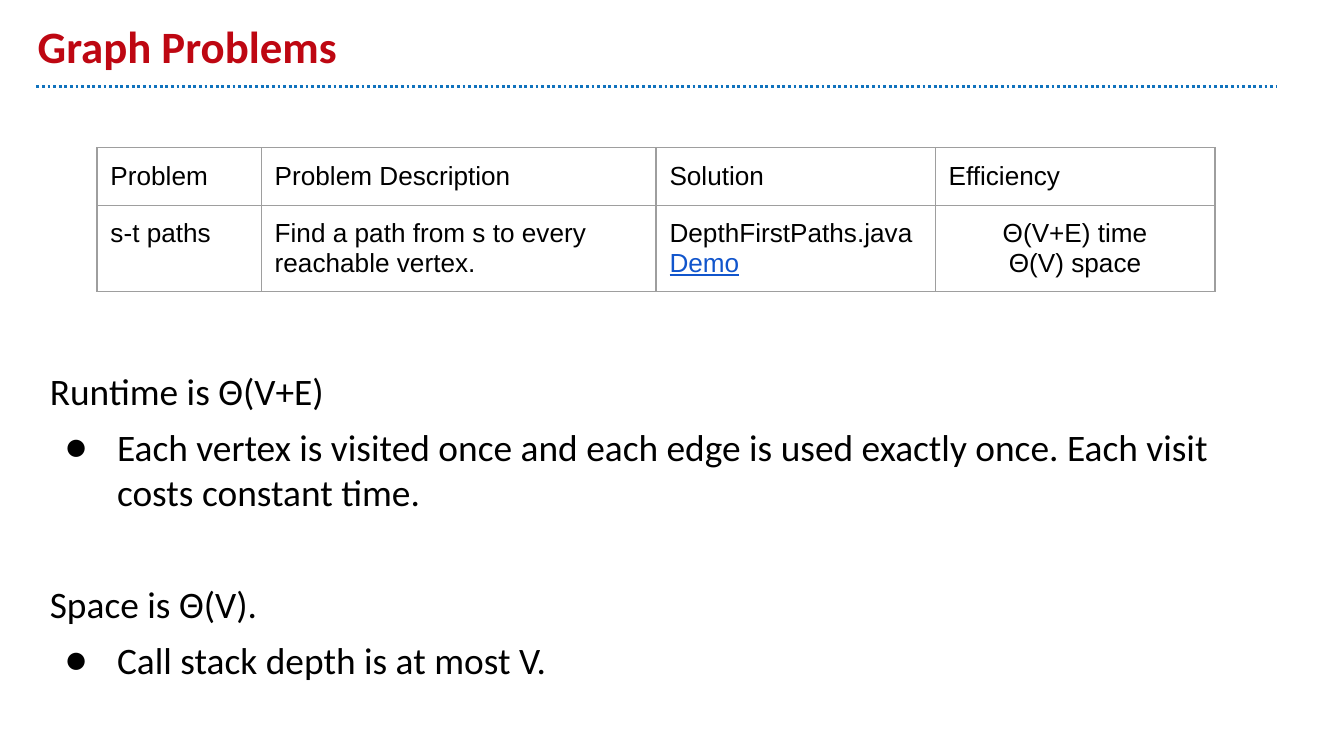
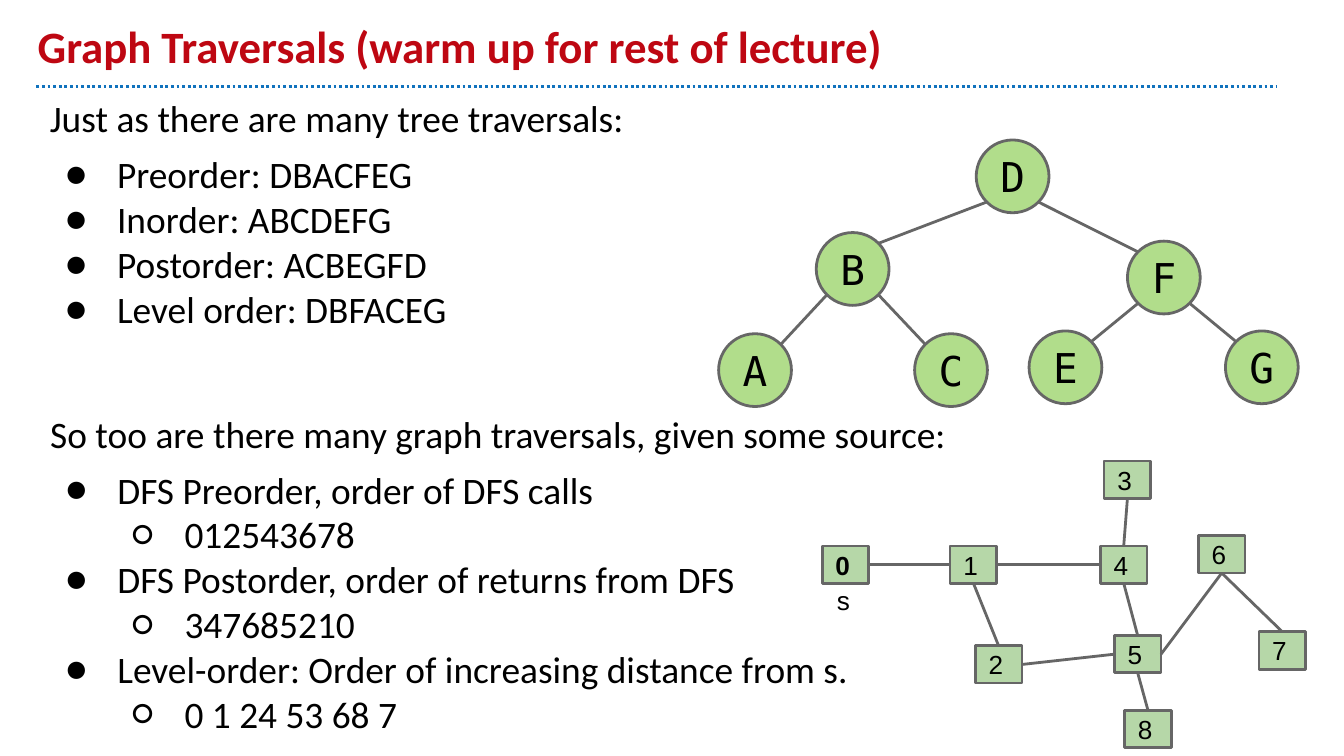
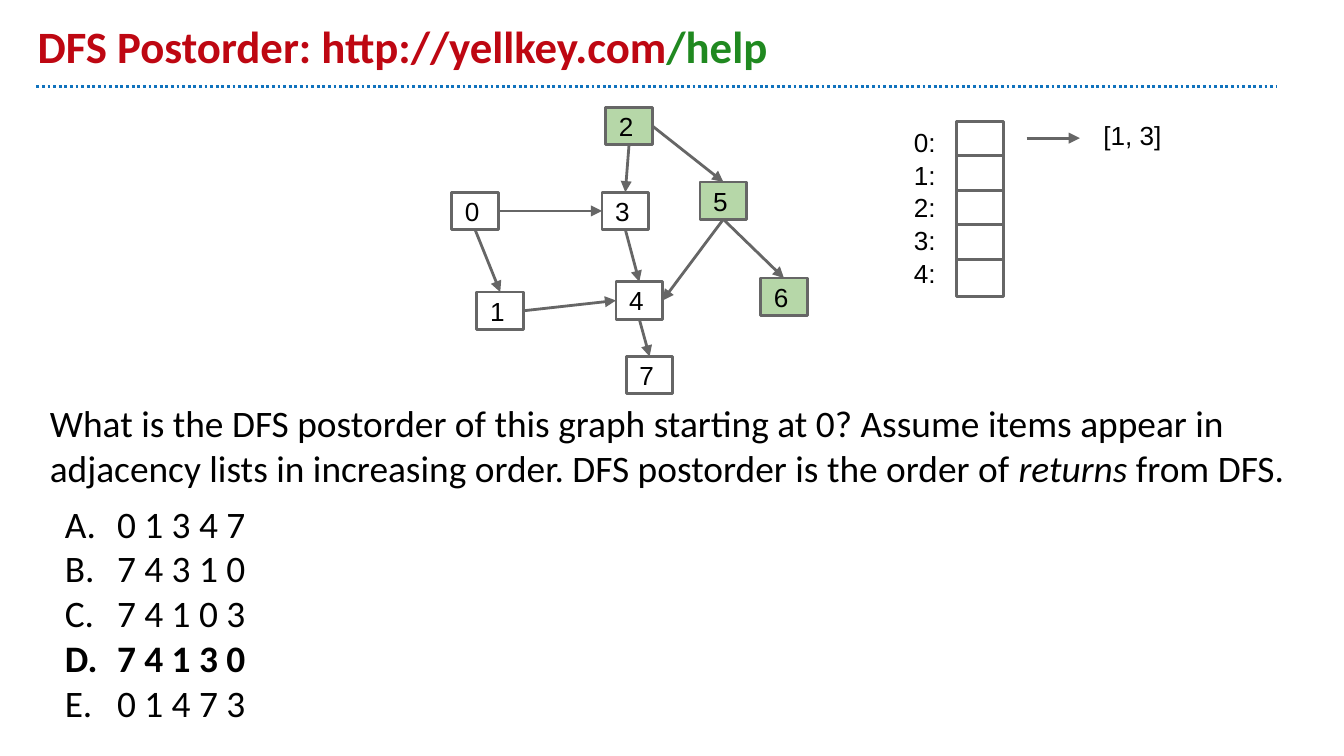
import pptx
import pptx.dml.color
import pptx.enum.dml
import pptx.enum.shapes
import pptx.enum.text
import pptx.oxml.ns
import pptx.util
import lxml.etree

RED = pptx.dml.color.RGBColor(0xBE, 0x07, 0x12)
GREEN = pptx.dml.color.RGBColor(0x20, 0x89, 0x20)
BLUE = pptx.dml.color.RGBColor(0x10, 0x72, 0xBD)
LINK = pptx.dml.color.RGBColor(0x11, 0x55, 0xCC)
BLACK = pptx.dml.color.RGBColor(0, 0, 0)
WHITE = pptx.dml.color.RGBColor(0xFF, 0xFF, 0xFF)
GRAY = pptx.dml.color.RGBColor(0x66, 0x66, 0x66)
RULE = pptx.dml.color.RGBColor(0x9E, 0x9E, 0x9E)
LEAF = pptx.dml.color.RGBColor(0xB1, 0xDD, 0x8B)
SAGE = pptx.dml.color.RGBColor(0xB6, 0xD7, 0xA8)

PROSE, PLAIN, MONO = "Calibri", "Arial", "DejaVu Sans Mono"
ALIGN = pptx.enum.text.PP_ALIGN
ANCHOR = pptx.enum.text.MSO_ANCHOR
SHAPE = pptx.enum.shapes.MSO_SHAPE

PORTS = {"t": (0.5, 0), "l": (0, 0.5), "b": (0.5, 1), "r": (1, 0.5),
         "nw": (0.15, 0.15), "ne": (0.85, 0.15),
         "sw": (0.15, 0.85), "se": (0.85, 0.85)}
BOX = (25, 20)
SPOTS = [(0, 0), (13.5, 53.5), (82.5, -45.5), (80.5, 0),
         (88, 48), (133, -5.5), (165.5, 46), (93.5, 88)]
EDGES = [(0, "b", 1, "t"), (0, "r", 3, "l"), (2, "b", 3, "t"),
         (5, "b", 6, "t"), (5, "b", 4, "r"), (3, "b", 4, "t"),
         (1, "r", 4, "l"), (4, "b", 7, "t")]


def add(parent, tag, **attrs):
    node = lxml.etree.SubElement(parent, pptx.oxml.ns.qn(tag))
    for name, value in attrs.items():
        node.set(name, str(value))
    return node


def write(frame, text, size=14, face=PLAIN, align=ALIGN.LEFT, before=0,
          space=1.0, mark=None, depth=0, **style):
    para = frame.paragraphs[0]
    if para.runs:
        para = frame.add_paragraph()
    para.alignment = align
    para.level = depth
    para.space_before = pptx.util.Pt(before)
    para.line_spacing = space
    props = para._p.get_or_add_pPr()
    props.set("marL", str(pptx.util.Pt(36 * (depth + 1) if mark else 0)))
    props.set("indent", str(pptx.util.Pt(-28 if mark else 0)))
    if mark:
        add(add(props, "a:buClr"), "a:srgbClr", val=BLACK)
        add(props, "a:buFont", typeface=PROSE)
        if mark == "A.":
            add(props, "a:buAutoNum", type="alphaUcPeriod")
        else:
            add(props, "a:buChar", char=mark)
    else:
        add(props, "a:buNone")
    parts = [(text, {})] if isinstance(text, str) else text
    for words, extra in parts:
        run = para.add_run()
        run.text = words
        font = run.font
        look = {**style, **extra}
        font.name = face
        font.size = pptx.util.Pt(size)
        font.color.rgb = look.get("color", BLACK)
        font.bold = look.get("bold", False)
        font.italic = look.get("italic", False)
        font.underline = look.get("under", False)


class Deck:
    """Hold the lecture style and the slide being built."""

    def __init__(self):
        self.show = pptx.Presentation()
        self.show.slide_width = pptx.util.Pt(720)
        self.show.slide_height = pptx.util.Pt(405)
        self.slide = None

    def frame(self, shape, anchor=ANCHOR.TOP):
        frame = shape.text_frame
        frame.word_wrap = True
        frame.auto_size = pptx.enum.text.MSO_AUTO_SIZE.NONE
        frame.vertical_anchor = anchor
        for side in ("left", "right", "top", "bottom"):
            setattr(frame, "margin_" + side, pptx.util.Pt(7.2))
        return frame

    def place(self, shape, *rect):
        shape.left, shape.top, shape.width, shape.height = map(pptx.util.Pt, rect)

    def open(self, title, *rect):
        self.slide = self.show.slides.add_slide(self.show.slide_layouts[1])
        head, body = self.slide.placeholders
        self.place(head, 13, 7.2, 648, 39)
        write(self.frame(head, ANCHOR.BOTTOM), title, size=24, face=PROSE,
              color=RED, bold=True)
        self.line([pptx.util.Pt(v) for v in (19.5, 46.3, 684, 46.3)], BLUE, dots=True)
        self.place(body, *rect)
        return self.frame(body)

    def prose(self, frame, text, **style):
        write(frame, text, size=20, face=PROSE, **style)

    def points(self, frame, texts, mark="●"):
        for at, text in enumerate(texts):
            self.prose(frame, text, mark=mark, before=0 if at else 6)

    def text(self, *rect, anchor=ANCHOR.TOP):
        box = self.slide.shapes.add_textbox(*map(pptx.util.Pt, rect))
        return self.frame(box, anchor)

    def line(self, ends, color=GRAY, dots=False, arrow=False):
        line = self.slide.shapes.add_connector(
            pptx.enum.shapes.MSO_CONNECTOR.STRAIGHT, *ends)
        line.line.color.rgb = color
        line.line.width = pptx.util.Pt(1.5)
        if dots:
            line.line.dash_style = pptx.enum.dml.MSO_LINE.ROUND_DOT
        props = line._element.spPr
        if arrow:
            add(props.find(pptx.oxml.ns.qn("a:ln")), "a:tailEnd", type="triangle")
        add(props, "a:effectLst")

    def link(self, start, out, end, into, arrow=False):
        ends = []
        for shape, side in ((start, out), (end, into)):
            across, down = PORTS[side]
            ends += [int(shape.left + across * shape.width),
                     int(shape.top + down * shape.height)]
        self.line(ends, arrow=arrow)

    def node(self, left, top, area, fill, label="", kind=SHAPE.RECTANGLE, **style):
        node = self.slide.shapes.add_shape(
            kind, *map(pptx.util.Pt, (left, top, *area)))
        node.shadow.inherit = False
        node.fill.solid()
        node.fill.fore_color.rgb = fill
        node.line.color.rgb = GRAY
        node.line.width = pptx.util.Pt(1.5)
        if label:
            write(self.frame(node, ANCHOR.MIDDLE), label, **style)
        return node

    def graph(self, left, top, first, fills, arrow=False):
        nodes = [self.node(left + x, top + y, BOX, fill, str(first + at))
                 for at, ((x, y), fill) in enumerate(zip(SPOTS, fills))]
        for start, out, end, into in EDGES:
            self.link(nodes[start], out, nodes[end], into, arrow)
        return nodes

    def table(self, left, top, cols, rows, cells):
        grid = self.slide.shapes.add_table(
            len(rows), len(cols),
            *map(pptx.util.Pt, (left, top, sum(cols), sum(rows)))).table
        grid.first_row = grid.horz_banding = False
        for col, width in zip(grid.columns, cols):
            col.width = pptx.util.Pt(width)
        for row, height, texts in zip(grid.rows, rows, cells):
            row.height = pptx.util.Pt(height)
            for cell, lines in zip(row.cells, texts):
                self.cell(cell, lines)

    def cell(self, cell, lines):
        for side in ("left", "right", "top", "bottom"):
            setattr(cell, "margin_" + side, pptx.util.Pt(7.2))
        props = cell._tc.get_or_add_tcPr()
        for tag in ("a:lnL", "a:lnR", "a:lnT", "a:lnB"):
            edge = add(props, tag, w=pptx.util.Pt(0.75))
            add(add(edge, "a:solidFill"), "a:srgbClr", val=RULE)
        cell.fill.background()
        for text, style in lines:
            write(cell.text_frame, text, **style)


def problems(deck):
    body = deck.open("Graph Problems", 19.5, 190, 664.5, 181)
    mid = {"align": ALIGN.CENTER}
    heads = ("Problem", "Problem Description", "Solution", "Efficiency")
    deck.table(52, 79.2, (88, 211.5, 149.5, 150), (31, 46), [
        [[(head, {})] for head in heads],
        [[("s-t paths", {})],
         [("Find a path from s to every reachable vertex.", {})],
         [("DepthFirstPaths.java", {}), ("Demo", {"color": LINK, "under": True})],
         [("Θ(V+E) time", mid), ("Θ(V) space", mid)]]])
    deck.prose(body, "Runtime is Θ(V+E)")
    deck.points(body, ["Each vertex is visited once and each edge is used "
                       "exactly once. Each visit costs constant time."])
    deck.prose(body, "Space is Θ(V).", before=36)
    deck.points(body, ["Call stack depth is at most V."])


def tours(deck):
    body = deck.open("Graph Traversals (warm up for rest of lecture)",
                     19.5, 44, 664.5, 327)
    deck.prose(body, "Just as there are many tree traversals:")
    deck.points(body, ["Preorder: DBACFEG", "Inorder: ABCDEFG",
                       "Postorder: ACBEGFD", "Level order: DBFACEG"])

    spots = {"A": (385, 178.8), "C": (490, 178.8), "B": (437.3, 124.6),
             "D": (523, 75), "E": (551.3, 177.3), "F": (604, 129.2),
             "G": (656.5, 177.3)}
    tree = {name: deck.node(*spot, (39, 39), LEAF, name, SHAPE.OVAL, size=22,
                            face=MONO, align=ALIGN.CENTER)
            for name, spot in spots.items()}
    for root, left, right in ("BAC", "FEG", "DBF"):
        deck.link(tree[root], "sw", tree[left], "ne")
        deck.link(tree[root], "se", tree[right], "nw")

    nodes = deck.graph(509, 292.5, 1, [SAGE] * len(SPOTS))
    source = deck.node(440.5, 292.5, BOX, SAGE, "0", bold=True)
    deck.link(source, "r", nodes[0], "l")
    write(deck.text(441.3, 306, 25, 34), "s")

    notes = deck.text(19.8, 211.7, 494.6, 190.8, anchor=ANCHOR.MIDDLE)
    deck.prose(notes, "So too are there many graph traversals, given some source:")
    orders = [("DFS Preorder, order of DFS calls", "012543678"),
              ("DFS Postorder, order of returns from DFS", "347685210"),
              ("Level-order: Order of increasing distance from s.", "0 1 24 53 68 7")]
    for at, (name, order) in enumerate(orders):
        deck.prose(notes, name, mark="●", before=0 if at else 6)
        deck.prose(notes, order, mark="○", depth=1)


def quiz(deck):
    body = deck.open([("DFS Postorder: http://yellkey.com", {}),
                      ("/help", {"color": GREEN})], 19.5, 207, 686, 189.5)
    deck.prose(body, [
        ("What is the DFS postorder of this graph starting at 0? Assume items "
         "appear in adjacency lists in increasing order. DFS postorder is the "
         "order of ", {}), ("returns", {"italic": True}), (" from DFS.", {})])
    deck.points(body, ["0 1 3 4 7", "7 4 3 1 0", "7 4 1 0 3",
                       [("7 4 1 3 0", {"bold": True})], "0 1 4 7 3"], mark="A.")

    fills = [SAGE if at in (2, 5, 6) else WHITE for at in range(len(SPOTS))]
    nodes = deck.graph(242, 103, 0, fills, arrow=True)
    deck.link(nodes[2], "r", nodes[5], "t", arrow=True)

    keys = deck.text(482.5, 60, 124, 132)
    for at in range(5):
        deck.node(512.5, 65 + 18.5 * at, BOX, WHITE)
        write(keys, f"{at}:", space=1.04)
    deck.line([pptx.util.Pt(v) for v in (550, 74, 578.5, 74)], arrow=True)
    write(deck.text(584, 57, 105, 31), "[1, 3]")


def main():
    deck = Deck()
    for build in (problems, tours, quiz):
        build(deck)
    deck.show.save("out.pptx")


if __name__ == "__main__":
    main()
